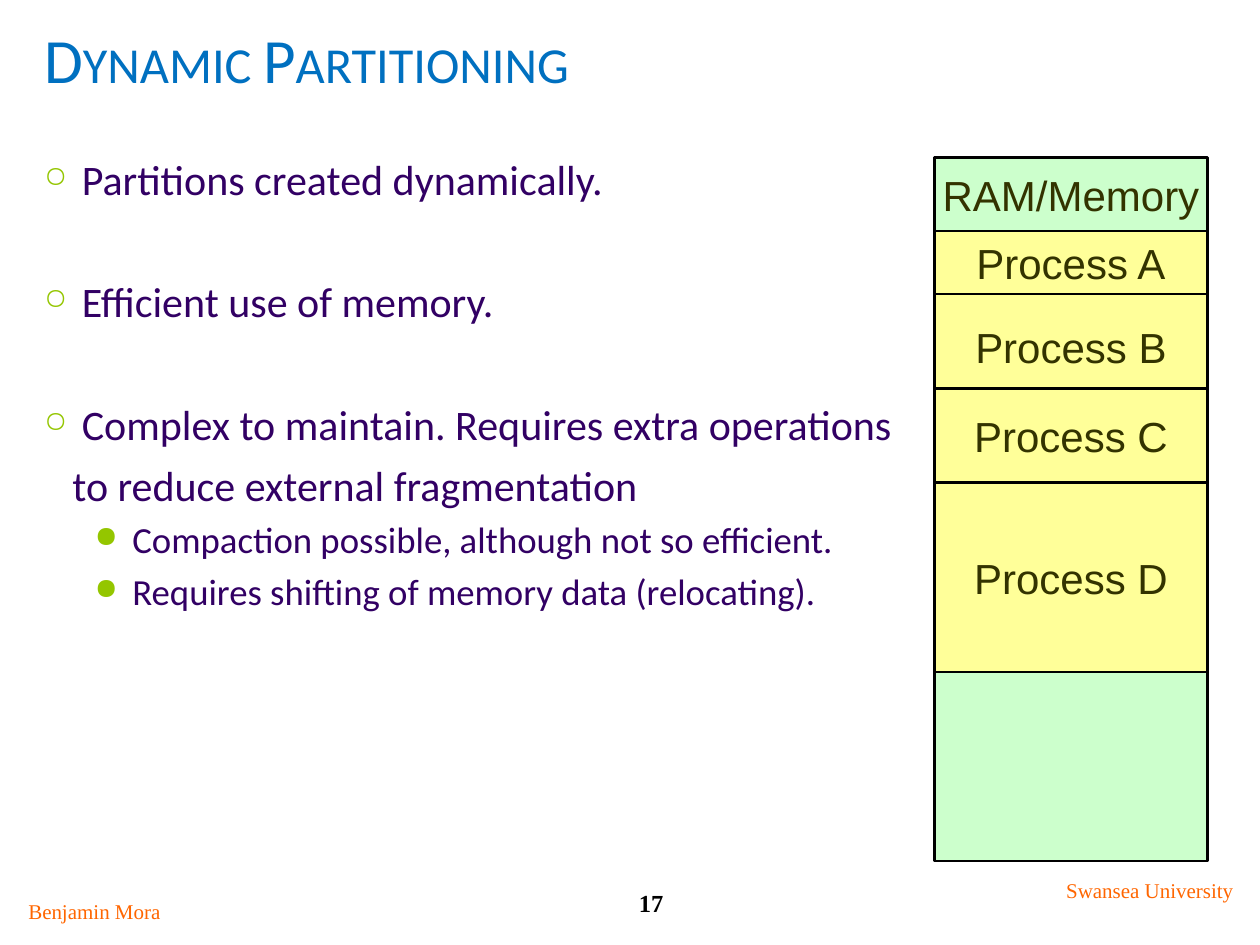
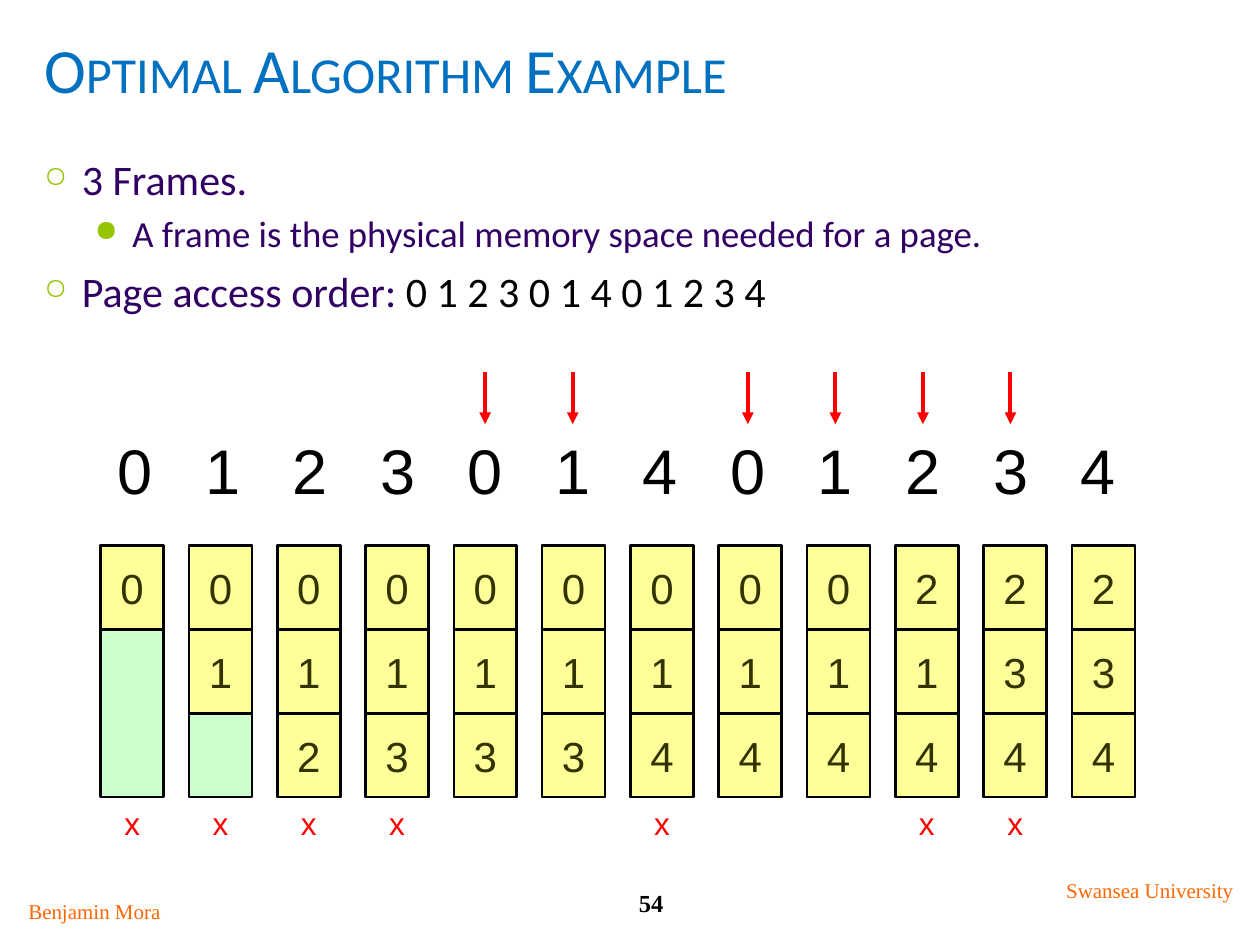
from lxml import etree
from pptx import Presentation
from pptx.dml.color import RGBColor
from pptx.enum.shapes import MSO_CONNECTOR, MSO_SHAPE
from pptx.enum.text import MSO_ANCHOR, PP_ALIGN
from pptx.oxml.ns import qn
from pptx.util import Cm, Pt

RECTANGLE = MSO_SHAPE.RECTANGLE
STRAIGHT = MSO_CONNECTOR.STRAIGHT
LEFT, CENTER = PP_ALIGN.LEFT, PP_ALIGN.CENTER
TOP, MIDDLE = MSO_ANCHOR.TOP, MSO_ANCHOR.MIDDLE

BLACK = RGBColor(0, 0, 0)
RED = RGBColor(0xFF, 0, 0)
TITLE_BLUE = RGBColor(0, 0x70, 0xC0)
BODY_PURPLE = RGBColor(0x32, 0, 0x64)
BULLET_GREEN = RGBColor(0x94, 0xC6, 0)
FOOTER_ORANGE = RGBColor(0xFF, 0x66, 0)
FREE_GREEN = RGBColor(0xCC, 0xFF, 0xCC)
USED_YELLOW = RGBColor(0xFF, 0xFF, 0x99)
CELL_TEXT = RGBColor(0x33, 0x33, 0)

HEADING_FONT, CELL_FONT, FOOTER_FONT = "Calibri", "Arial", "Times New Roman"

# style: bullet, bullet size, left margin, first-line indent, text size, space before
STYLES = {
    "point": ("○", 70, 0.76, -0.76, 24, 6),
    "spaced": ("○", 70, 0.76, -0.76, 24, 41.3),
    "continued": (None, 0, 0.57, 0, 24, 6),
    "detail": ("●", 80, 1.78, -0.76, 21, 4.2),
}

PARTITION_POINTS = [
    ("point", [("Partitions created dynamically.", BODY_PURPLE)]),
    ("spaced", [("Efficient use of memory.", BODY_PURPLE)]),
    ("spaced", [("Complex to maintain. Requires extra operations", BODY_PURPLE)]),
    ("continued", [("to reduce external fragmentation", BODY_PURPLE)]),
    ("detail", [("Compaction possible, although not so efficient.", BODY_PURPLE)]),
    ("detail", [("Requires shifting of memory data (relocating).", BODY_PURPLE)]),
]
MEMORY_BLOCKS = [
    ("", 4.66, 12.7, FREE_GREEN),
    ("RAM/Memory", 3.18, 1.48, FREE_GREEN),
    ("Process A", 4.66, 1.27, USED_YELLOW),
    ("Process B", 5.93, 2.12, USED_YELLOW),
    ("Process C", 7.83, 1.9, USED_YELLOW),
    ("Process D", 9.74, 3.81, USED_YELLOW),
]
MEMORY_LEFT, MEMORY_WIDTH = 18.84, 5.5

ACCESS_ORDER = "012301401234"
ALGORITHM_POINTS = [
    ("point", [("3 Frames.", BODY_PURPLE)]),
    ("detail", [("A frame is the physical memory space needed for a page.", BODY_PURPLE)]),
    ("point", [("Page access order: ", BODY_PURPLE), (" ".join(ACCESS_ORDER), BLACK)]),
]
FRAME_STATES = ["0", "01", "012", "013", "013", "013",
                "014", "014", "014", "214", "234", "234"]
ARROW_STEPS = [4, 5, 7, 8, 9, 10]
FAULT_STEPS = [0, 1, 2, 3, 6, 9, 10]

FRAME_LEFT, FRAME_TOP, FRAME_PITCH = 2.03, 11, 1.78
FRAME_WIDTH, FRAME_HEIGHT = 1.27, 1.69
DIGIT_LEFT, DIGIT_PITCH, DIGIT_CENTER = 2.12, 1.765, 2.72
ARROW_TOP, ARROW_BOTTOM = 7.49, 8.55
MARK_WIDTH = 1.7


def add_xml(parent, tag, **attributes):
    return etree.SubElement(parent, qn(tag), **attributes)


def style_span(span, size, font, color, bold=False):
    span.font.size, span.font.name, span.font.bold = Pt(size), font, bold
    span.font.color.rgb = color


def add_text(page, text, place, size, font, color, align=CENTER, bold=False):
    box = page.shapes.add_textbox(*map(Cm, place))
    box.text_frame.word_wrap = True
    box.text_frame.vertical_anchor = TOP
    box.text_frame.text = text
    para = box.text_frame.paragraphs[0]
    para.alignment = align
    style_span(para.runs[0], size, font, color, bold)
    return box


def add_block(page, label, place, fill):
    block = page.shapes.add_shape(RECTANGLE, *map(Cm, place))
    block.shadow.inherit = False
    block.fill.solid()
    block.fill.fore_color.rgb = fill
    block.line.color.rgb = BLACK
    block.line.width = Pt(1.5)
    if label:
        frame = block.text_frame
        frame.word_wrap = False
        frame.vertical_anchor = MIDDLE
        frame.text = label
        frame.paragraphs[0].alignment = CENTER
        style_span(frame.paragraphs[0].runs[0], 24, CELL_FONT, CELL_TEXT)


def add_arrow(page, x):
    arrow = page.shapes.add_connector(STRAIGHT, Cm(x), Cm(ARROW_TOP), Cm(x), Cm(ARROW_BOTTOM))
    arrow.line.color.rgb = RED
    arrow.line.width = Pt(2.25)
    add_xml(arrow.line._get_or_add_ln(), "a:tailEnd", type="triangle")
    add_xml(arrow._element.spPr, "a:effectLst")


def add_points(page, points):
    box = page.shapes.add_textbox(Cm(0.64), Cm(2.96), Cm(24.55), Cm(14.6))
    frame = box.text_frame
    frame.word_wrap = True
    for index, (style, spans) in enumerate(points):
        bullet, bullet_size, margin, indent, size, space = STYLES[style]
        para = frame.add_paragraph() if index else frame.paragraphs[0]
        para.level = 1 if style == "detail" else 0
        para.space_before = Pt(space)
        for text, color in spans:
            span = para.add_run()
            span.text = text
            style_span(span, size, HEADING_FONT, color)
        layout = para._p.get_or_add_pPr()
        layout.set("marL", str(Cm(margin)))
        layout.set("indent", str(Cm(indent)))
        if bullet:
            add_xml(add_xml(layout, "a:buClr"), "a:srgbClr", val=str(BULLET_GREEN))
            add_xml(layout, "a:buSzPct", val=str(bullet_size * 1000))
            add_xml(layout, "a:buChar", char=bullet)


def add_page(deck, title, title_top, number, points):
    page = deck.slides.add_slide(deck.slide_layouts[6])
    heading = add_text(page, title, (0.64, title_top, 24.13, 2.34), 36,
                       HEADING_FONT, TITLE_BLUE, LEFT)
    heading.text_frame.margin_top = Cm(0.2)
    heading.text_frame.paragraphs[0].runs[0].font._element.set("cap", "small")
    add_points(page, points)
    add_text(page, number, (11.43, 17.78, 3.39, 0.85), 14, FOOTER_FONT, BLACK, bold=True)
    add_text(page, "Benjamin Mora", (0.21, 17.99, 3.39, 0.76), 12, FOOTER_FONT, FOOTER_ORANGE)
    add_text(page, "Swansea University", (21.17, 17.57, 4.02, 0.76), 12,
             FOOTER_FONT, FOOTER_ORANGE)
    return page


def build_partitioning(deck):
    page = add_page(deck, "Dynamic Partitioning", 0.21, "17", PARTITION_POINTS)
    for label, top, height, fill in MEMORY_BLOCKS:
        add_block(page, label, (MEMORY_LEFT, top, MEMORY_WIDTH, height), fill)


def build_algorithm(deck):
    page = add_page(deck, "Optimal Algorithm Example", 0.42, "54", ALGORITHM_POINTS)
    digits = add_text(page, "\t".join(ACCESS_ORDER), (DIGIT_LEFT, 8.57, 20.96, 1.78), 36,
                      CELL_FONT, BLACK, LEFT)
    tabs = add_xml(digits.text_frame.paragraphs[0]._p.get_or_add_pPr(), "a:tabLst")
    for step in range(1, len(ACCESS_ORDER)):
        add_xml(tabs, "a:tab", pos=str(Cm(step * DIGIT_PITCH)), algn="l")
    for step in ARROW_STEPS:
        add_arrow(page, DIGIT_CENTER + step * DIGIT_PITCH)
    for step, state in enumerate(FRAME_STATES):
        left = FRAME_LEFT + step * FRAME_PITCH
        add_block(page, "", (left, FRAME_TOP, FRAME_WIDTH, 3 * FRAME_HEIGHT), FREE_GREEN)
        for row, value in enumerate(state):
            top = FRAME_TOP + row * FRAME_HEIGHT
            add_block(page, value, (left, top, FRAME_WIDTH, FRAME_HEIGHT), USED_YELLOW)
    for step in FAULT_STEPS:
        left = FRAME_LEFT + step * FRAME_PITCH + (FRAME_WIDTH - MARK_WIDTH) / 2
        add_text(page, "x", (left, 16.09, MARK_WIDTH, 1.02), 18, CELL_FONT, RED)


def main():
    deck = Presentation()
    deck.slide_width, deck.slide_height = Cm(25.4), Cm(19.05)
    build_partitioning(deck)
    build_algorithm(deck)
    deck.save("out.pptx")


if __name__ == "__main__":
    main()
